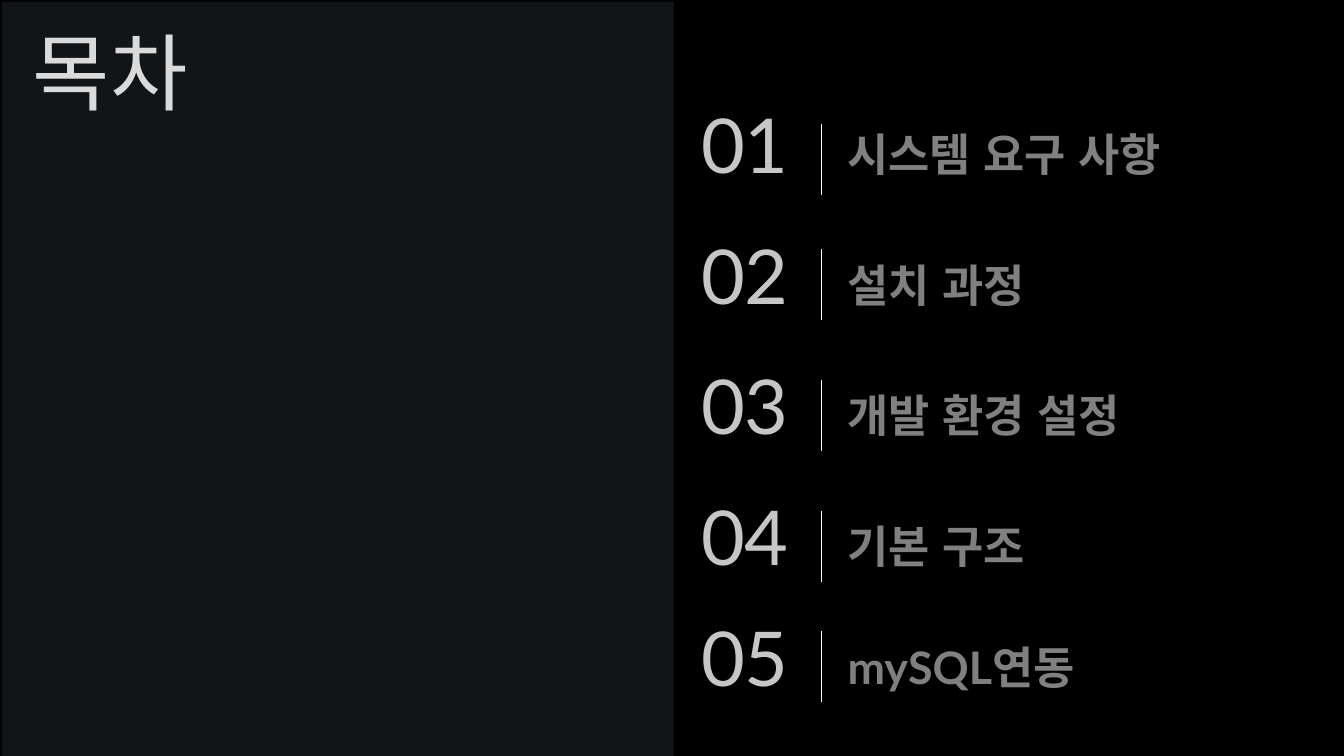
from dataclasses import dataclass

from lxml import etree
from pptx import Presentation
from pptx.dml.color import RGBColor
from pptx.enum.lang import MSO_LANGUAGE_ID
from pptx.enum.shapes import MSO_CONNECTOR, MSO_SHAPE
from pptx.enum.text import MSO_ANCHOR, MSO_AUTO_SIZE
from pptx.oxml import parse_xml
from pptx.oxml.ns import nsdecls, qn
from pptx.slide import Slide
from pptx.util import Cm, Pt

RECTANGLE = MSO_SHAPE.RECTANGLE
STRAIGHT = MSO_CONNECTOR.STRAIGHT
TOP, MIDDLE = MSO_ANCHOR.TOP, MSO_ANCHOR.MIDDLE
GROW, FIXED = MSO_AUTO_SIZE.SHAPE_TO_FIT_TEXT, MSO_AUTO_SIZE.NONE
KOREAN = MSO_LANGUAGE_ID.KOREAN


@dataclass(frozen=True)
class Theme:
    font: str = "Lato"
    background: str = "000000"
    panel: str = "1E2327"
    title: str = "DADADA"
    title_outline: str = "404040"
    number: str = "C6C6C9"
    caption: str = "808080"
    divider: str = "FFFFFF"
    title_size: int = 60
    number_size: int = 54
    caption_size: int = 32


@dataclass(frozen=True)
class Box:
    left: float
    top: float
    width: float
    height: float

    def lengths(self) -> list[Cm]:
        return [Cm(value) for value in (self.left, self.top, self.width, self.height)]


@dataclass(frozen=True)
class Entry:
    caption: str
    top: float
    divider_top: float
    caption_width: float


THEME = Theme()
ENTRIES = [
    Entry("시스템 요구 사항", 2.34, 3.12, 11.68),
    Entry("설치 과정", 5.64, 6.27, 11.68),
    Entry("개발 환경 설정", 8.92, 9.58, 12.04),
    Entry("기본 구조", 12.22, 12.88, 12.34),
    Entry("mySQL연동", 15.27, 15.9, 12.34),
]
NUMBER_LEFT, DIVIDER_LEFT, CAPTION_LEFT = 17.42, 20.7, 21.11
CAPTION_DROP = 0.64
DIVIDER_HEIGHT = 1.79


def add_panel(slide: Slide, box: Box, color: str, opacity: int = 100) -> None:
    shape = slide.shapes.add_shape(RECTANGLE, *box.lengths())
    shape.shadow.inherit = False
    shape.line.fill.background()
    shape.fill.solid()
    shape.fill.fore_color.rgb = RGBColor.from_string(color)
    if opacity < 100:
        color_element = shape.fill._xPr.find(qn("a:solidFill"))[0]
        etree.SubElement(color_element, qn("a:alpha"), val=str(opacity * 1000))


def add_text(slide: Slide, box: Box, text: str, size: int, color: str,
             frame_format: dict, bold: bool = False, line_spacing: float = 1.0):
    shape = slide.shapes.add_textbox(*box.lengths())
    for name, value in ({"word_wrap": True} | frame_format).items():
        setattr(shape.text_frame, name, value)
    paragraph = shape.text_frame.paragraphs[0]
    paragraph.line_spacing = line_spacing
    run = paragraph.add_run()
    run.text = text
    font_format = {"name": THEME.font, "size": Pt(size), "bold": bold,
                   "language_id": KOREAN}
    for name, value in font_format.items():
        setattr(run.font, name, value)
    run.font.color.rgb = RGBColor.from_string(color)
    return run


def add_title(slide: Slide) -> None:
    frame_format = {"auto_size": FIXED, "vertical_anchor": TOP, "margin_left": Cm(0.5)}
    run = add_text(slide, Box(0.33, 0.38, 5.61, 2.97), "목차",
                   THEME.title_size, THEME.title, frame_format)
    # Faint outline around the letters
    outline = parse_xml(
        f'<a:ln {nsdecls("a")} w="{Pt(0.75)}"><a:solidFill>'
        f'<a:srgbClr val="{THEME.title_outline}"><a:alpha val="10000"/></a:srgbClr>'
        '</a:solidFill></a:ln>')
    run.font._element.insert(0, outline)


def add_divider(slide: Slide, top: float) -> None:
    left = Cm(DIVIDER_LEFT)
    connector = slide.shapes.add_connector(
        STRAIGHT, left, Cm(top), left, Cm(top + DIVIDER_HEIGHT))
    connector.line.color.rgb = RGBColor.from_string(THEME.divider)
    connector.line.width = Pt(1)
    etree.SubElement(connector._element.spPr, qn("a:effectLst"))


def add_entry(slide: Slide, number: int, entry: Entry) -> None:
    add_text(slide, Box(NUMBER_LEFT, entry.top, 3.38, 2.57), f"{number:02}",
             THEME.number_size, THEME.number,
             {"auto_size": GROW, "vertical_anchor": TOP})
    add_text(slide,
             Box(CAPTION_LEFT, entry.top + CAPTION_DROP, entry.caption_width, 1.65),
             entry.caption, THEME.caption_size, THEME.caption,
             {"auto_size": GROW, "vertical_anchor": MIDDLE},
             bold=True, line_spacing=1.1)
    add_divider(slide, entry.divider_top)


def main() -> None:
    presentation = Presentation()
    presentation.slide_width, presentation.slide_height = Cm(33.87), Cm(19.05)
    slide = presentation.slides.add_slide(presentation.slide_layouts[6])

    # Background and panels
    slide.background.fill.solid()
    slide.background.fill.fore_color.rgb = RGBColor.from_string(THEME.background)
    add_panel(slide, Box(0.05, 0.05, 33.82, 19), THEME.panel, opacity=62)
    add_panel(slide, Box(16.98, 0, 16.89, 19.05), THEME.background)

    # Title and contents list
    add_title(slide)
    for number, entry in enumerate(ENTRIES, start=1):
        add_entry(slide, number, entry)

    presentation.save("out.pptx")


if __name__ == "__main__":
    main()
